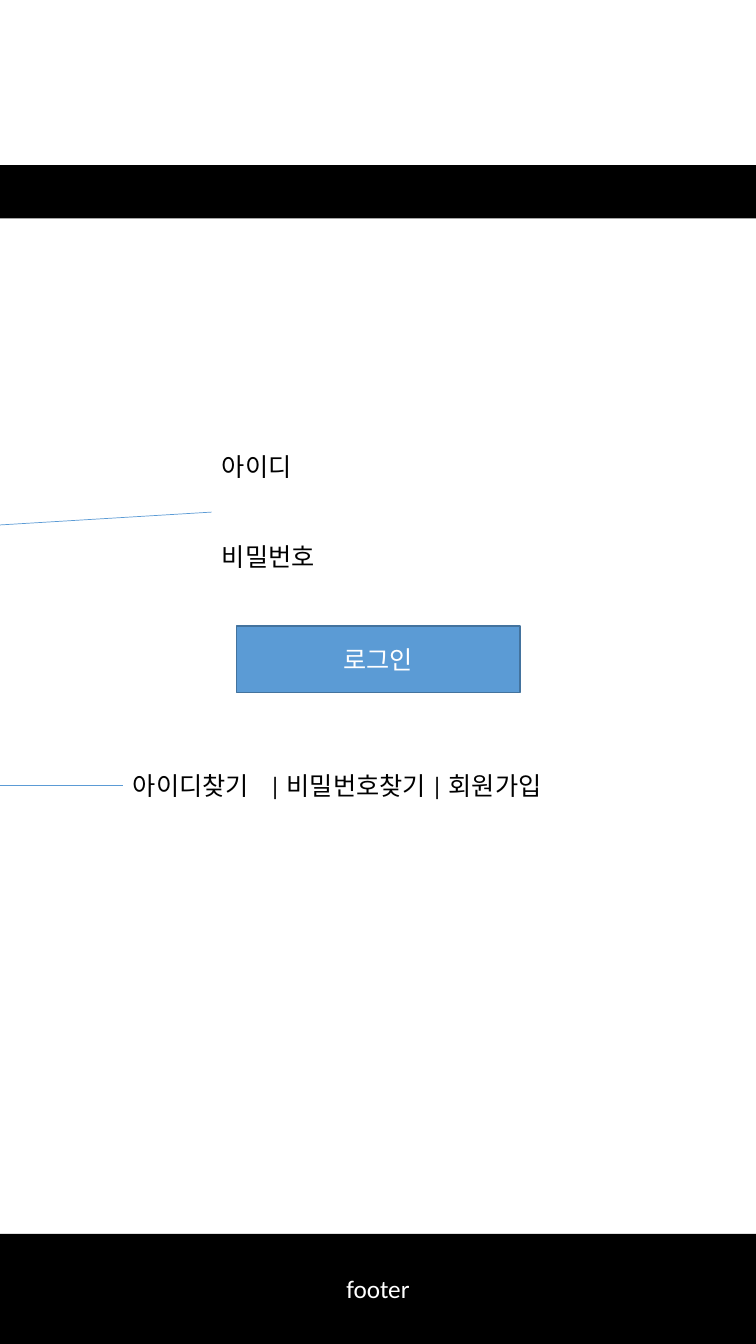
from pptx import Presentation
from pptx.dml.color import RGBColor
from pptx.enum.shapes import MSO_CONNECTOR, MSO_SHAPE
from pptx.enum.text import MSO_ANCHOR, MSO_AUTO_SIZE, PP_ALIGN
from pptx.oxml.ns import qn
from pptx.util import Pt
from lxml.etree import SubElement

BLACK = RGBColor(0x00, 0x00, 0x00)
WHITE = RGBColor(0xFF, 0xFF, 0xFF)
BLUE = RGBColor(0x5B, 0x9B, 0xD5)
DARK_BLUE = RGBColor(0x43, 0x73, 0x9E)

WIDTH, HEIGHT = 540, 960
LABEL_HEIGHT = 29


def write(shape, text, color=BLACK, align=PP_ALIGN.LEFT, anchor=MSO_ANCHOR.TOP,
          size=18, font="Calibri", tab=None):
    """Put one formatted paragraph in the shape; tab is a stop in points."""
    frame = shape.text_frame
    frame.word_wrap = True
    frame.vertical_anchor = anchor
    paragraph = frame.paragraphs[0]
    paragraph.alignment = align
    run = paragraph.add_run()
    run.text = text
    run.font.size = Pt(size)
    run.font.name = font
    run.font.color.rgb = color
    if tab:
        properties = paragraph._p.get_or_add_pPr()
        stops = SubElement(properties, qn("a:tabLst"))
        SubElement(stops, qn("a:tab"), pos=str(Pt(tab)), algn="l")


class Screen:
    def __init__(self, slide):
        self.shapes = slide.shapes

    def box(self, left, top, width, height, fill, text=None, outline=None):
        box = self.shapes.add_shape(
            MSO_SHAPE.RECTANGLE, Pt(left), Pt(top), Pt(width), Pt(height))
        box.shadow.inherit = False
        box.fill.solid()
        box.fill.fore_color.rgb = fill
        if outline is None:
            box.line.fill.background()
        else:
            box.line.color.rgb = outline
            box.line.width = Pt(1)
        if text:
            write(box, text, color=WHITE, align=PP_ALIGN.CENTER,
                  anchor=MSO_ANCHOR.MIDDLE)
        return box

    def label(self, left, top, width, text, **text_format):
        label = self.shapes.add_textbox(
            Pt(left), Pt(top), Pt(width), Pt(LABEL_HEIGHT))
        write(label, text, **text_format)
        label.text_frame.auto_size = MSO_AUTO_SIZE.SHAPE_TO_FIT_TEXT
        return label

    def arrow(self, start, end, source=None):
        """Draw an arrow, joined to the left side of source if given."""
        arrow = self.shapes.add_connector(
            MSO_CONNECTOR.STRAIGHT, *map(Pt, start + end))
        arrow.line.color.rgb = BLUE
        arrow.line.width = Pt(0.5)
        SubElement(arrow.line._get_or_add_ln(), qn("a:tailEnd"), type="triangle")
        SubElement(arrow._element.spPr, qn("a:effectLst"))
        if source is not None:
            arrow.begin_connect(source, 1)
        return arrow


def main():
    deck = Presentation()
    deck.slide_width, deck.slide_height = Pt(WIDTH), Pt(HEIGHT)
    screen = Screen(deck.slides.add_slide(deck.slide_layouts[6]))

    footer_top = 881.3
    screen.box(0, footer_top, WIDTH, HEIGHT - footer_top, BLACK, "footer")
    screen.box(0, 118, WIDTH, 38, BLACK)

    for row, field in enumerate(("아이디", "비밀번호")):
        screen.label(151.5, 319 + 64 * row, 185, field)
    screen.box(168.9, 447.2, 202.5, 47.5, BLUE, "로그인", outline=DARK_BLUE)
    account_links = screen.label(
        87.8, 546.4, 394.6, "아이디찾기\t| 비밀번호찾기 | 회원가입", tab=97.5)

    screen.arrow((151.2, 365.8), (-26.6, 376.6))
    screen.arrow((88.6, 559.4), (-74.2, 560.9), source=account_links)

    deck.save("out.pptx")


if __name__ == "__main__":
    main()
